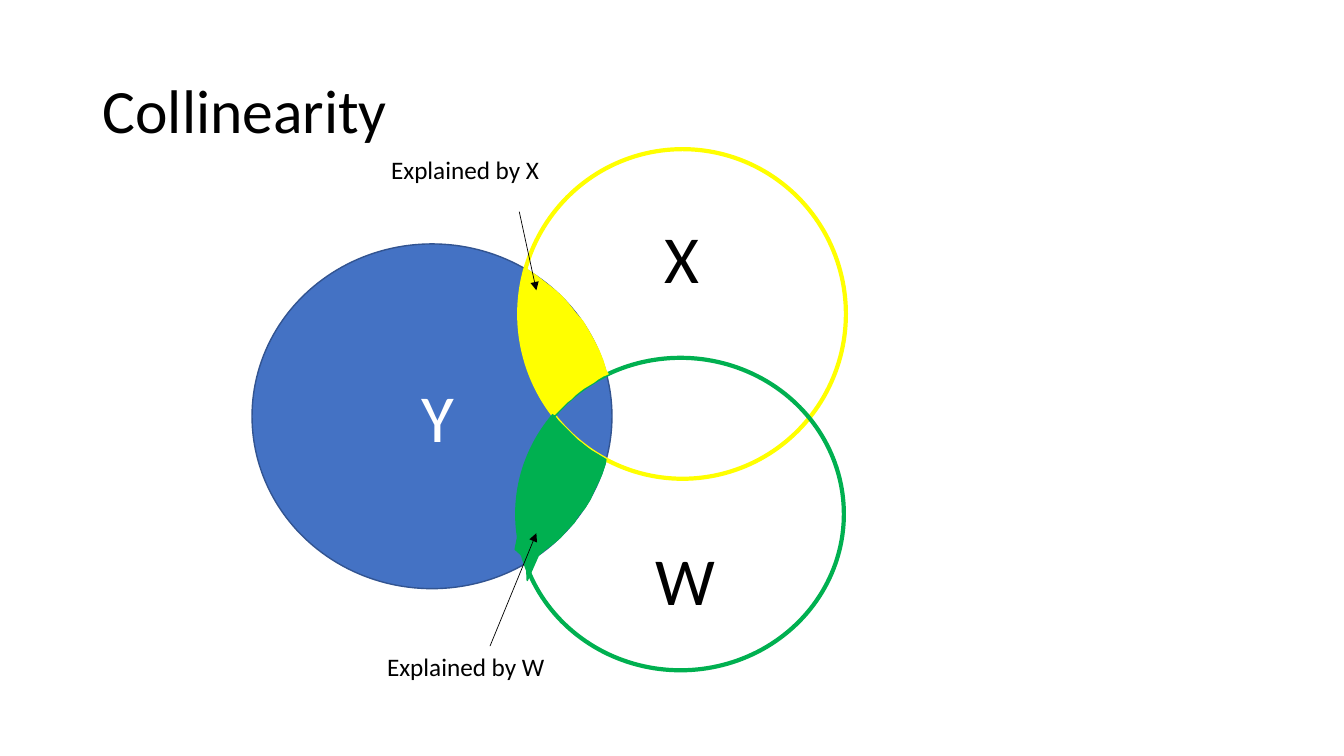
import math
from typing import NamedTuple

from lxml import etree
from pptx import Presentation
from pptx.dml.color import RGBColor
from pptx.enum import shapes, text
from pptx.oxml.ns import qn
from pptx.util import Emu, Pt

PX = 9144
FONT = "Calibri"
BLACK, WHITE = "000000", "FFFFFF"
BLUE, NAVY = "4472C4", "325491"
YELLOW, GREEN = "FFFF00", "00B050"
ARC_STEPS = 12

Point = tuple[int, int]


class Circle(NamedTuple):
    left: int
    top: int
    width: int
    height: int
    line: str
    weight: float
    fill: str | None = None


class Label(NamedTuple):
    words: str
    left: int
    top: int
    width: int
    height: int
    size: int
    color: str = BLACK


class Arc(NamedTuple):
    circle: Circle
    start: Point
    end: Point


class Patch(NamedTuple):
    color: str
    arcs: list[Arc]
    tail: list[Point]


class Arrow(NamedTuple):
    start: Point
    end: Point


TITLE = Label("Collinearity", 92, 40, 1150, 145, 44)

Y = Circle(250, 242, 357, 342, NAVY, 1, BLUE)
X = Circle(515, 148, 324, 327, YELLOW, 3)
W = Circle(513, 355, 324, 310, GREEN, 3)

LETTERS = [
    Label("Y", 408, 367, 107, 91, 48, WHITE),
    Label("X", 649, 210, 107, 91, 48),
    Label("W", 640, 529, 107, 91, 48),
]

PATCHES = [
    Patch(YELLOW, [
        Arc(X, (522, 267), (547, 409)),
        Arc(W, (547, 409), (602, 368)),
        Arc(Y, (602, 368), (522, 267)),
    ], []),
    Patch(GREEN, [
        Arc(W, (514, 530), (547, 415)),
        Arc(X, (547, 415), (598, 461)),
        Arc(Y, (598, 461), (533, 550)),
    ], [(523, 576), (522, 555), (511, 545)]),
]

ARROWS = [Arrow((515, 210), (532, 288)), Arrow((486, 641), (532, 529))]

CAPTIONS = [
    Label("Explained by X", 378, 148, 195, 40, 18),
    Label("Explained by W", 374, 641, 195, 40, 18),
]


def px(n: int) -> Emu:
    return Emu(n * PX)


def rgb(value: str) -> RGBColor:
    return RGBColor.from_string(value)


def paint(sp, fill: str | None, line: str, weight: float) -> None:
    sp.shadow.inherit = False
    if fill:
        sp.fill.solid()
        sp.fill.fore_color.rgb = rgb(fill)
    else:
        sp.fill.background()
    sp.line.color.rgb = rgb(line)
    sp.line.width = Pt(weight)


def draw_circle(s, c: Circle) -> None:
    sp = s.shapes.add_shape(shapes.MSO_SHAPE.OVAL, px(c.left), px(c.top), px(c.width), px(c.height))
    paint(sp, c.fill, c.line, c.weight)


def draw_label(s, label: Label):
    sp = s.shapes.add_textbox(px(label.left), px(label.top), px(label.width), px(label.height))
    tf = sp.text_frame
    tf.word_wrap = True
    p = tf.paragraphs[0]
    p.text = label.words
    p.font.name = FONT
    p.font.size = Pt(label.size)
    p.font.color.rgb = rgb(label.color)
    return tf


def draw_title(s, label: Label) -> None:
    tf = draw_label(s, label)
    tf.vertical_anchor = text.MSO_ANCHOR.MIDDLE
    tf.paragraphs[0].line_spacing = 0.9


def arc_points(arc: Arc) -> list[Point]:
    c = arc.circle
    rx, ry = c.width / 2, c.height / 2
    cx, cy = c.left + rx, c.top + ry
    first, last = (math.atan2((y - cy) / ry, (x - cx) / rx) for x, y in (arc.start, arc.end))
    step = math.remainder(last - first, math.tau) / ARC_STEPS
    angles = [first + step * i for i in range(ARC_STEPS + 1)]
    return [(round(cx + rx * math.cos(a)), round(cy + ry * math.sin(a))) for a in angles]


def draw_patch(s, patch: Patch) -> None:
    outline = [point for arc in patch.arcs for point in arc_points(arc)] + patch.tail
    builder = s.shapes.build_freeform(*outline[0], scale=PX)
    builder.add_line_segments(outline[1:], close=True)
    paint(builder.convert_to_shape(), patch.color, patch.color, 1)


def draw_arrow(s, arrow: Arrow) -> None:
    ends = [px(n) for n in arrow.start + arrow.end]
    cx = s.shapes.add_connector(shapes.MSO_CONNECTOR.STRAIGHT, *ends)
    cx.line.color.rgb = rgb(BLACK)
    cx.line.width = Pt(0.5)
    sp_pr = cx._element.spPr
    etree.SubElement(sp_pr.find(qn("a:ln")), qn("a:tailEnd"), type="triangle")
    etree.SubElement(sp_pr, qn("a:effectLst"))


def main() -> None:
    prs = Presentation()
    prs.slide_width, prs.slide_height = px(1333), px(750)
    s = prs.slides.add_slide(prs.slide_layouts[6])
    draw_title(s, TITLE)
    for circle in (Y, X, W):
        draw_circle(s, circle)
    for letter in LETTERS:
        draw_label(s, letter)
    for patch in PATCHES:
        draw_patch(s, patch)
    for arrow in ARROWS:
        draw_arrow(s, arrow)
    for caption in CAPTIONS:
        draw_label(s, caption)
    prs.save("out.pptx")


if __name__ == "__main__":
    main()
